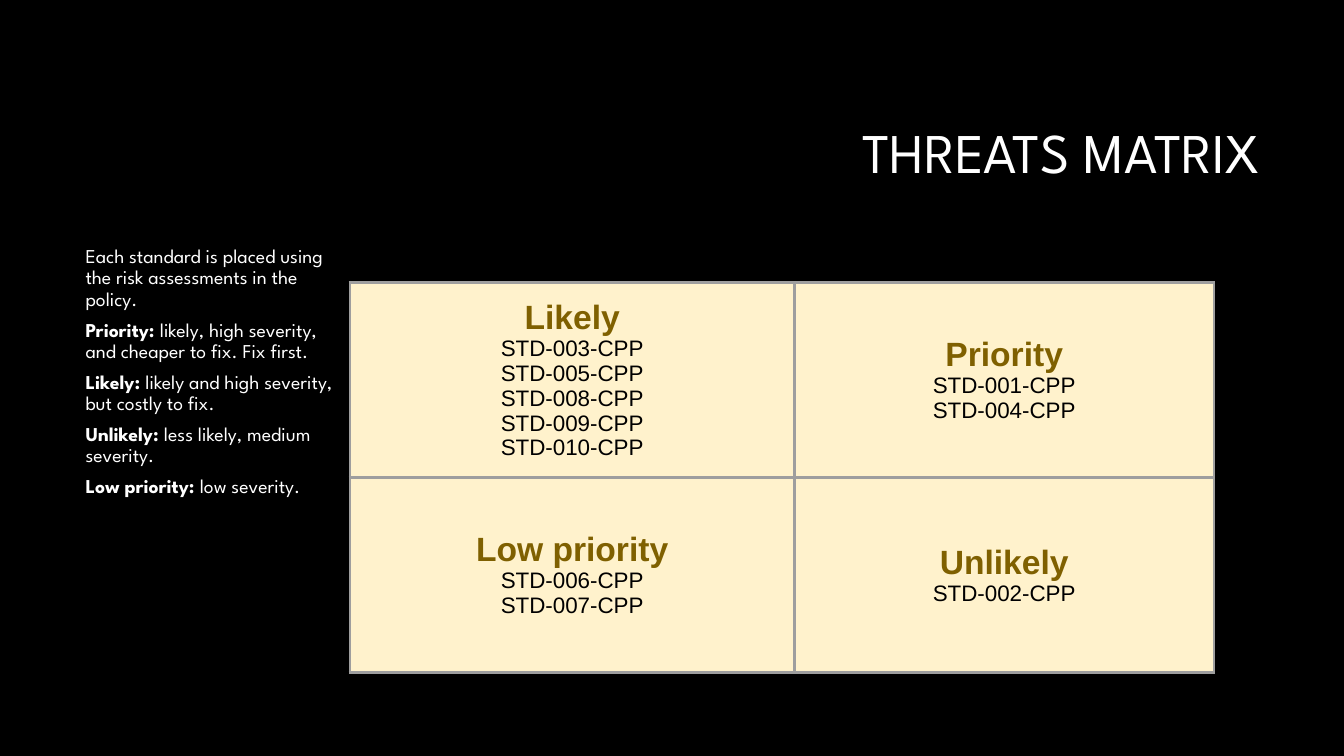
from lxml.etree import SubElement
from pptx import Presentation
from pptx.dml.color import RGBColor
from pptx.enum.text import MSO_ANCHOR, MSO_AUTO_SIZE, PP_ALIGN
from pptx.oxml.ns import qn
from pptx.util import Pt

EMU_PER_PX = 9144
COLORS = {
    "background": "000000",
    "light": "FFFFFF",
    "heading": "7F6000",
    "standard": "000000",
    "cell": "FFF2CC",
    "border": "9E9E9E",
}
EXPLANATIONS = [
    ("", "Each standard is placed using the risk assessments in the policy."),
    ("Priority: ", "likely, high severity, and cheaper to fix. Fix first."),
    ("Likely: ", "likely and high severity, but costly to fix."),
    ("Unlikely: ", "less likely, medium severity."),
    ("Low priority: ", "low severity."),
]
THREATS = [
    [("Likely", ["003", "005", "008", "009", "010"]), ("Priority", ["001", "004"])],
    [("Low priority", ["006", "007"]), ("Unlikely", ["002"])],
]


def px(length):
    """Turn whole pixels into EMU."""
    return length * EMU_PER_PX


def rgb(name):
    """Look up a named colour."""
    return RGBColor.from_string(COLORS[name])


def add_text(paragraph, text, *, size, color, font, bold=False,
             align=PP_ALIGN.LEFT, line_spacing=1.0, space_before=0):
    """Append a formatted run to a paragraph and format the paragraph."""
    paragraph.alignment = align
    paragraph.line_spacing = line_spacing
    paragraph.space_before = Pt(space_before)
    run = paragraph.add_run()
    run.text = text
    run.font.size = Pt(size)
    run.font.name = font
    run.font.bold = bold
    run.font.color.rgb = rgb(color)


def next_paragraph(frame, index):
    """Return the first paragraph for index 0, otherwise a new one."""
    return frame.add_paragraph() if index else frame.paragraphs[0]


def place_title(slide, left, top, width, height):
    """Move and fill the title placeholder."""
    title = slide.shapes.title
    title.left, title.top = px(left), px(top)
    title.width, title.height = px(width), px(height)
    frame = title.text_frame
    frame.auto_size = MSO_AUTO_SIZE.NONE
    frame.vertical_anchor = MSO_ANCHOR.MIDDLE
    add_text(frame.paragraphs[0], "THREATS MATRIX", size=40, color="light",
             font="League Spartan", align=PP_ALIGN.RIGHT, line_spacing=0.9)


def place_explanations(slide, left, top, width, height):
    """Explain how each quadrant is chosen."""
    box = slide.shapes.add_textbox(px(left), px(top), px(width), px(height))
    frame = box.text_frame
    frame.word_wrap = True
    for index, (term, meaning) in enumerate(EXPLANATIONS):
        paragraph = next_paragraph(frame, index)
        for text, bold in ((term, True), (meaning, False)):
            if text:
                add_text(paragraph, text, size=14, color="light",
                         font="League Spartan", bold=bold, line_spacing=0.9,
                         space_before=7 if index else 0)


def add_borders(cell, points):
    """Draw all four borders of a cell."""
    properties = cell._tc.get_or_add_tcPr()
    for side in ("lnL", "lnR", "lnT", "lnB"):
        line = SubElement(properties, qn(f"a:{side}"), w=str(Pt(points)))
        fill = SubElement(line, qn("a:solidFill"))
        SubElement(fill, qn("a:srgbClr"), val=COLORS["border"])


def fill_quadrant(cell, heading, numbers):
    """Write a quadrant heading and its standards into a cell."""
    add_borders(cell, 2.25)
    cell.fill.solid()
    cell.fill.fore_color.rgb = rgb("cell")
    cell.vertical_anchor = MSO_ANCHOR.MIDDLE
    cell.margin_left = cell.margin_right = px(10)
    cell.margin_top = cell.margin_bottom = px(10)
    frame = cell.text_frame
    add_text(frame.paragraphs[0], heading, size=24, color="heading",
             font="Arial", bold=True, align=PP_ALIGN.CENTER)
    for number in numbers:
        add_text(frame.add_paragraph(), f"STD-{number}-CPP", size=16,
                 color="standard", font="Arial", align=PP_ALIGN.CENTER)


def place_matrix(slide, left, top, width, height):
    """Build the two by two threats table."""
    matrix = slide.shapes.add_table(
        2, 2, px(left), px(top), px(width), px(height)).table
    matrix.first_row = matrix.horz_banding = False
    likely_width = 441
    matrix.columns[0].width = px(likely_width)
    matrix.columns[1].width = px(width - likely_width)
    for row, quadrants in enumerate(THREATS):
        matrix.rows[row].height = px(height) // len(THREATS)
        for column, (heading, numbers) in enumerate(quadrants):
            fill_quadrant(matrix.cell(row, column), heading, numbers)


def main():
    """Build and save the threats matrix slide."""
    deck = Presentation()
    deck.slide_width, deck.slide_height = px(1333), px(750)
    slide = deck.slides.add_slide(deck.slide_layouts[5])
    slide.background.fill.solid()
    slide.background.fill.fore_color.rgb = rgb("background")
    place_title(slide, 317, 84, 942, 141)
    place_explanations(slide, 75, 240, 272, 440)
    place_matrix(slide, 347, 280, 857, 387)
    deck.save("out.pptx")


if __name__ == "__main__":
    main()
